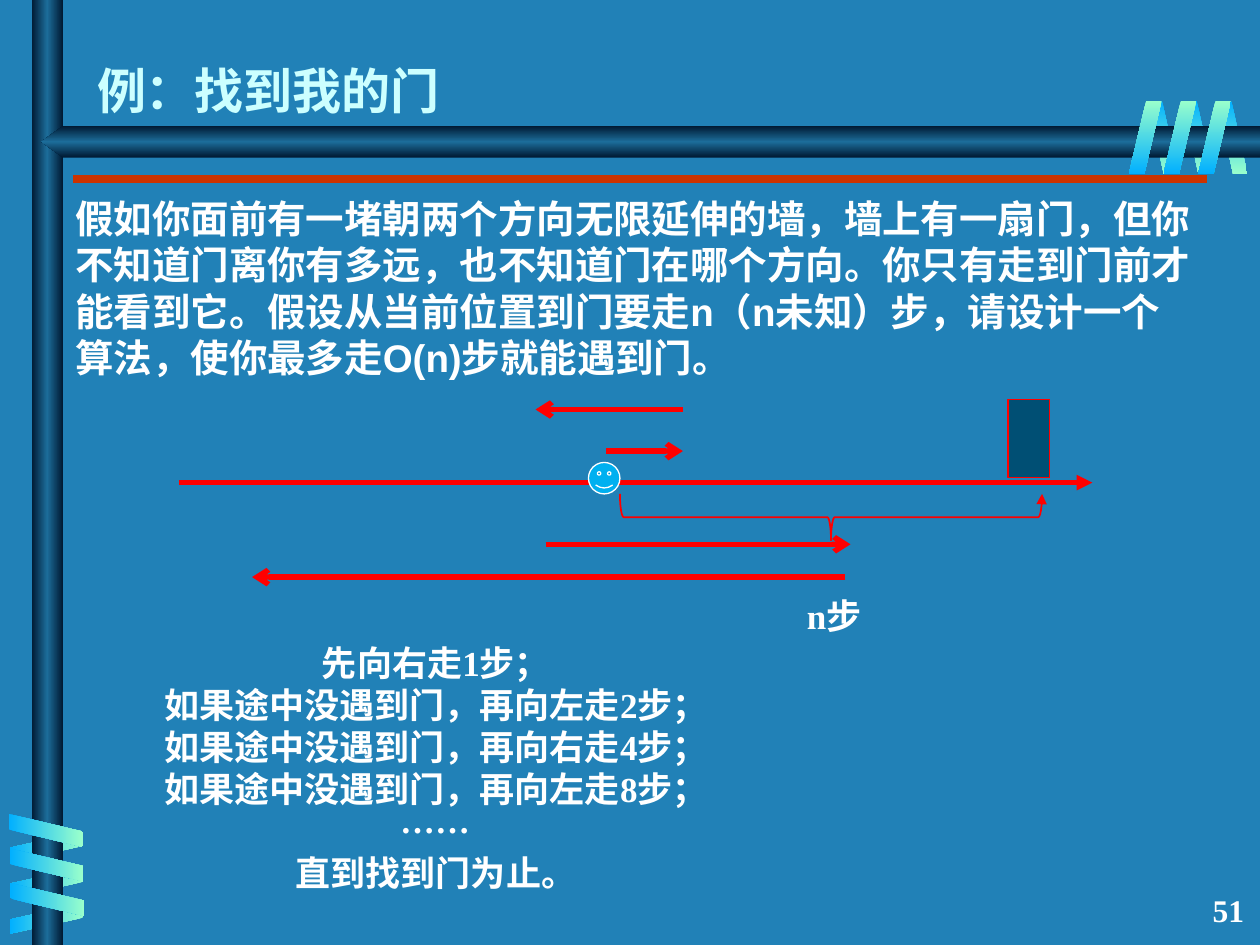
from lxml import etree
from pptx import Presentation
from pptx.dml.color import RGBColor
from pptx.enum.shapes import MSO_CONNECTOR, MSO_SHAPE
from pptx.enum.text import MSO_ANCHOR, MSO_AUTO_SIZE, PP_ALIGN
from pptx.oxml.ns import qn
from pptx.util import Inches, Pt

COLORS = {
    "background": "2181B7", "navy": "001932", "steel": "1C6D9A",
    "azure": "01B0FF", "mint": "99FFCC", "rule": "CC3300",
    "white": "FFFFFF", "title": "CCFFFF", "red": "FF0000",
    "door": "004F74", "face": "00B0F0",
}
SERIF, SANS = "Times New Roman", "Arial"

TITLE = "例：找到我的门"
PROBLEM = (
    "假如你面前有一堵朝两个方向无限延伸的墙，墙上有一扇门，但你不知道门离你有多远，"
    "也不知道门在哪个方向。你只有走到门前才能看到它。假设从当前位置到门要走n（n未知）步，"
    "请设计一个算法，使你最多走O(n)步就能遇到门。"
)
STRATEGY = [
    "先向右走1步；",
    "如果途中没遇到门，再向左走2步；",
    "如果途中没遇到门，再向右走4步；",
    "如果途中没遇到门，再向左走8步；",
    "……",
    "直到找到门为止。",
]
DISTANCE = "n步"
PAGE_NUMBER = "51"

# Start x, end x and y of each walk along the wall
WALKS = [(4.81, 5.42, 3.58), (5.42, 4.25, 3.25), (4.33, 6.75, 4.32), (6.71, 2, 4.58)]

# Coils: first left and top, step in x and y, width, rotation, flip, gradient, angle
BACK_COILS = [
    (9.11, 0.8, 0.275, 0, 0.24, 180, True, ("azure", "mint"), 90),
    (0.25, 6.43, 0, 0.285, 0.24, 90, True, ("mint", "azure"), 0),
]
FRONT_COILS = [
    (0.23, 6.3, 0.01, 0.275, 0.26, 270, False, ("azure", "mint"), 0),
    (8.96, 0.8, 0.275, 0, 0.26, 0, False, ("mint", "azure"), 90),
]
COIL_TURNS, COIL_HEIGHT, COIL_SLANT = 3, 0.58, 0.53
TUBE = ("navy", "steel", "navy")


def rgb(name):
    return RGBColor.from_string(COLORS[name])


def add_gradient(shape, names, angle):
    """Fill with evenly spaced stops that stay fixed when the shape is turned."""
    gradient = etree.Element(qn("a:gradFill"), rotWithShape="0")
    stops = etree.SubElement(gradient, qn("a:gsLst"))
    for i, name in enumerate(names):
        stop = etree.SubElement(stops, qn("a:gs"), pos=str(100000 * i // (len(names) - 1)))
        etree.SubElement(stop, qn("a:srgbClr"), val=COLORS[name])
    etree.SubElement(gradient, qn("a:lin"), ang=str(angle * 60000), scaled="0")
    shape._element.spPr.find(qn("a:prstGeom")).addnext(gradient)


def add_arrowhead(line, kind):
    etree.SubElement(line._get_or_add_ln(), qn("a:tailEnd"), type=kind)


def add_preset(slide, preset, frame, fill=None, line=None, width=1, rotation=0,
               flip=None, adjust=()):
    shape = slide.shapes.add_shape(preset, *map(Inches, frame))
    shape.shadow.inherit = False
    shape.rotation = rotation
    if flip:
        shape._element.spPr.xfrm.set(flip, "1")
    for i, value in enumerate(adjust):
        shape.adjustments[i] = value
    if fill:
        shape.fill.solid()
        shape.fill.fore_color.rgb = rgb(fill)
    if line:
        shape.line.color.rgb = rgb(line)
        shape.line.width = Pt(width)
    else:
        shape.line.fill.background()
    return shape


def add_coils(slide, coils):
    for left, top, step_x, step_y, width, rotation, flipped, names, angle in coils:
        for i in reversed(range(COIL_TURNS)) if step_y == 0 else range(COIL_TURNS):
            frame = (left + i * step_x, top + i * step_y, width, COIL_HEIGHT)
            coil = add_preset(slide, MSO_SHAPE.PARALLELOGRAM, frame, rotation=rotation,
                              flip="flipH" if flipped else None, adjust=[COIL_SLANT])
            add_gradient(coil, names, angle)


def add_line(slide, x1, x2, y, color="red", width=3, head=None):
    line = slide.shapes.add_connector(MSO_CONNECTOR.STRAIGHT,
                                      *map(Inches, (x1, y, x2, y)))
    line.line.color.rgb = rgb(color)
    line.line.width = Pt(width)
    if head:
        add_arrowhead(line.line, head)
    etree.SubElement(line._element.spPr, qn("a:effectLst"))


def write(shape, text, size, font=SERIF, color="white", align=PP_ALIGN.LEFT,
          anchor=MSO_ANCHOR.TOP):
    frame = shape.text_frame
    frame_format = {"word_wrap": True, "auto_size": MSO_AUTO_SIZE.NONE,
                    "vertical_anchor": anchor}
    for name, value in frame_format.items():
        setattr(frame, name, value)
    paragraph = frame.paragraphs[0]
    paragraph.text = text
    paragraph.alignment = align
    font_format = {"name": font, "size": Pt(size), "bold": True}
    for run in paragraph.runs:
        for name, value in font_format.items():
            setattr(run.font, name, value)
        run.font.color.rgb = rgb(color)


def add_text(slide, frame, text, size, **style):
    write(slide.shapes.add_textbox(*map(Inches, frame)), text, size, **style)


def add_frame(slide):
    add_coils(slide, BACK_COILS)
    post = add_preset(slide, MSO_SHAPE.RECTANGLE, (0.25, 0, 0.25, 7.5))
    add_gradient(post, TUBE, 0)
    beam = add_preset(slide, MSO_SHAPE.PENTAGON, (0.33, 1, 9.67, 0.25),
                      flip="flipH", adjust=[0.68])
    add_gradient(beam, TUBE, 90)
    add_coils(slide, FRONT_COILS)
    add_line(slide, 0.58, 9.58, 1.42, "rule", 4.5)


def add_wall(slide):
    add_line(slide, 1.42, 8.67, 3.83, head="triangle")
    add_preset(slide, MSO_SHAPE.RECTANGLE, (8, 3.17, 0.33, 0.62), "door", "red")
    brace = add_preset(slide, MSO_SHAPE.LEFT_BRACE, (6.41, 2.43, 0.37, 3.35),
                       "background", "red", rotation=270, flip="flipV",
                       adjust=[0.08, 0.5])
    add_arrowhead(brace.line, "triangle")
    add_text(slide, (6.08, 4.67, 1.08, 0.5), DISTANCE, 20, align=PP_ALIGN.CENTER)
    for start, end, y in WALKS:
        add_line(slide, start, end, y, head="arrow")
    add_preset(slide, MSO_SHAPE.SMILEY_FACE, (4.67, 3.67, 0.25, 0.25),
               "face", "white", 0.75)


def main():
    prs = Presentation()
    prs.slide_width, prs.slide_height = Inches(10), Inches(7.5)
    slide = prs.slides.add_slide(prs.slide_layouts[5])
    slide.background.fill.solid()
    slide.background.fill.fore_color.rgb = rgb("background")

    add_frame(slide)
    title = slide.shapes.title
    place = {"left": 0.67, "top": 0.25, "width": 8.3, "height": 0.75}
    for name, value in place.items():
        setattr(title, name, Inches(value))
    write(title, TITLE, 28, color="title", anchor=MSO_ANCHOR.BOTTOM)
    add_text(slide, (0.5, 1.5, 9.08, 5.8), PROBLEM, 22, font=SANS)
    add_text(slide, (9.5, 7.02, 0.5, 0.4), PAGE_NUMBER, 18, align=PP_ALIGN.CENTER)
    add_wall(slide)
    add_text(slide, (0, 5.04, 6.92, 2.46), "\v".join(STRATEGY), 20,
             align=PP_ALIGN.CENTER)
    prs.save("out.pptx")


if __name__ == "__main__":
    main()
